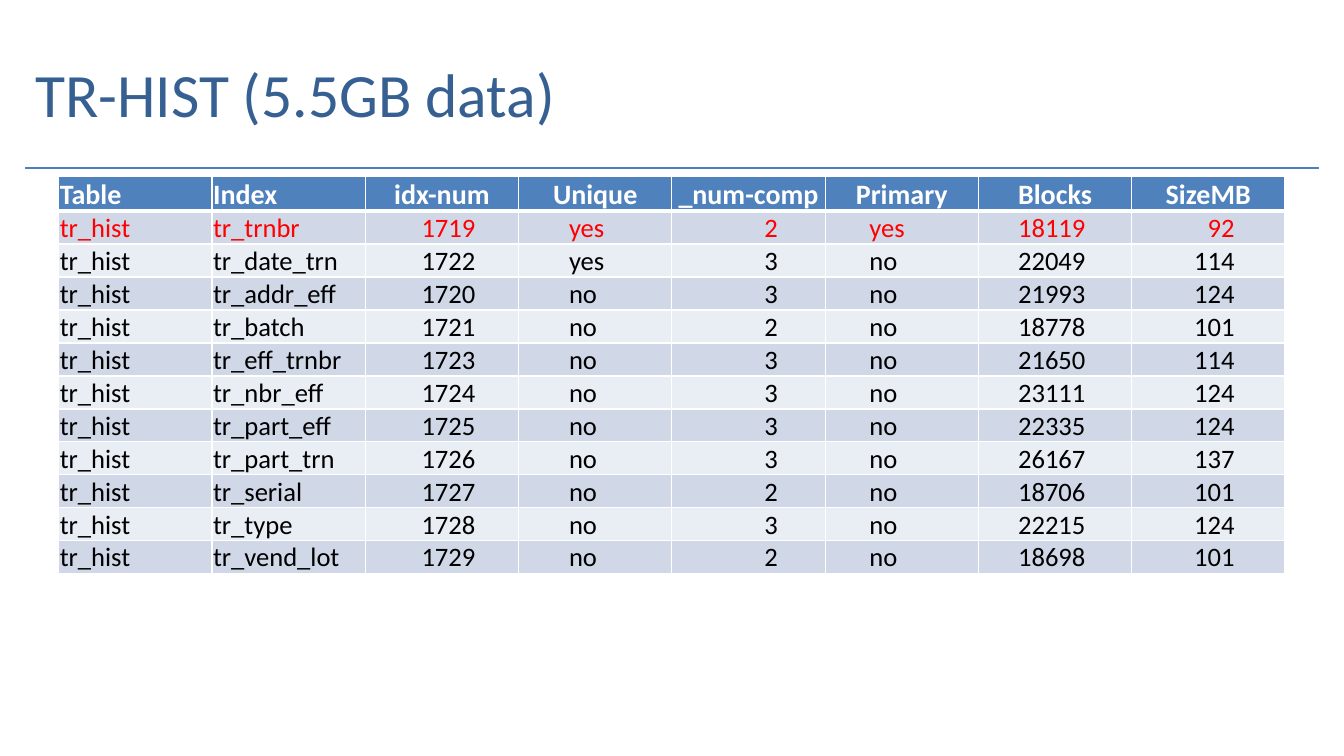
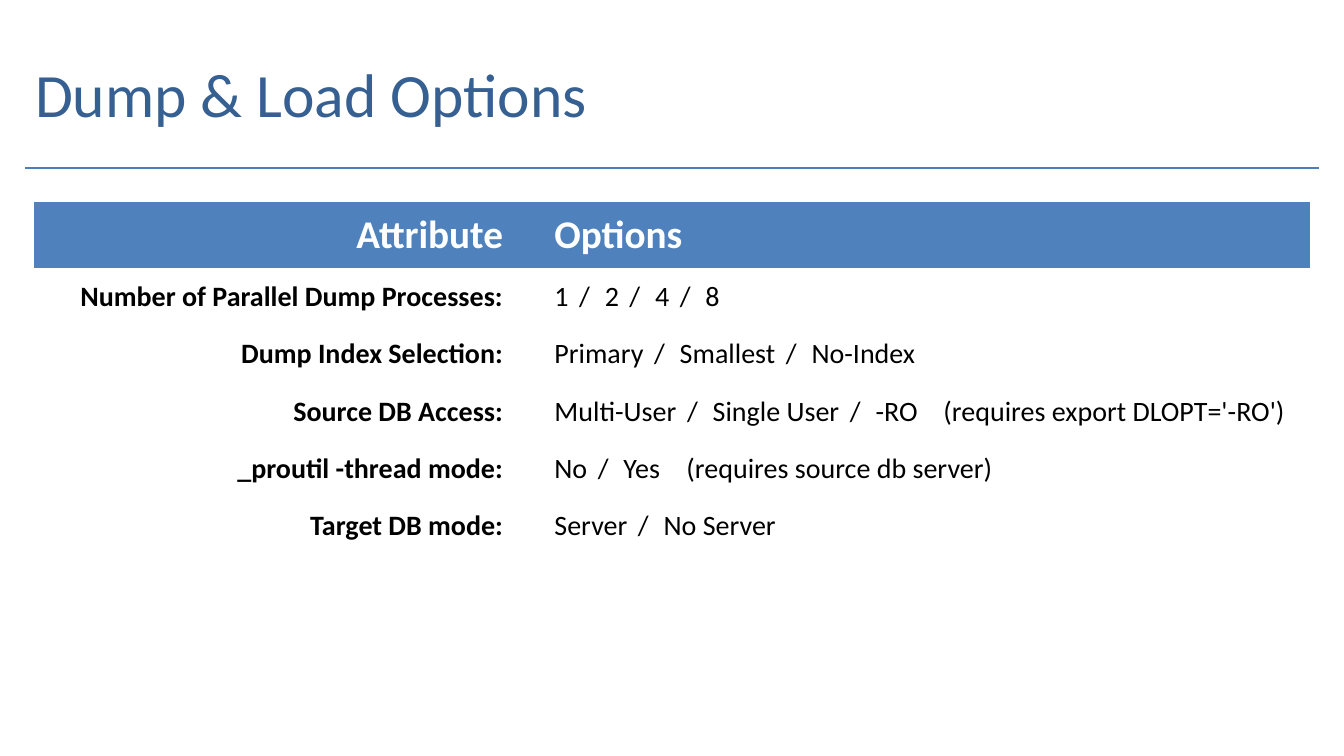
from lxml import etree
from pptx import Presentation
from pptx.dml.color import RGBColor
from pptx.enum.shapes import MSO_CONNECTOR
from pptx.enum.text import MSO_ANCHOR, PP_ALIGN
from pptx.oxml.ns import qn
from pptx.util import Inches, Pt

LEFT, CENTER, RIGHT = PP_ALIGN.LEFT, PP_ALIGN.CENTER, PP_ALIGN.RIGHT
MIDDLE, BOTTOM = MSO_ANCHOR.MIDDLE, MSO_ANCHOR.BOTTOM
STRAIGHT = MSO_CONNECTOR.STRAIGHT
PLAIN_TABLE_STYLE = "{2D5ABB26-0587-4C30-8999-92F81FD0307C}"
COLUMNS, ROWS = 160, 90


def color(hex_value):
    return RGBColor.from_string(hex_value)


class Deck:
    FONT = "Calibri"
    TITLE, RULE, HEADER = "376092", "4B7EBC", "4F81BD"
    BANDS = ("D0D8E8", "E9EDF4")
    WHITE, BLACK, ACCENT = "FFFFFF", "000000", "FF0000"

    def __init__(self):
        self.deck = Presentation()
        self.deck.slide_width = Inches(13.333)
        self.deck.slide_height = Inches(7.5)
        self.slide = None

    def x(self, columns):
        return round(self.deck.slide_width * columns / COLUMNS)

    def y(self, rows):
        return round(self.deck.slide_height * rows / ROWS)

    def box(self, left, top, width, height):
        return self.x(left), self.y(top), self.x(width), self.y(height)

    def style(self, paragraph, size, ink, bold=False, align=LEFT):
        paragraph.alignment = align
        for run in paragraph.runs:
            run.font.name = self.FONT
            run.font.size = Pt(size)
            run.font.bold = bold
            run.font.color.rgb = color(ink)

    def new_slide(self, title):
        self.slide = self.deck.slides.add_slide(self.deck.slide_layouts[6])
        rule = self.slide.shapes.add_connector(
            STRAIGHT, self.x(3), self.y(20), self.x(157), self.y(20))
        rule.line.color.rgb = color(self.RULE)
        rule.line.width = Pt(1.5)
        etree.SubElement(rule._element.spPr, qn("a:effectLst"))
        frame = self.slide.shapes.add_textbox(*self.box(3, 3.6, 141, 15)).text_frame
        frame.word_wrap = True
        frame.vertical_anchor = MIDDLE
        frame.text = title
        self.style(frame.paragraphs[0], 44, self.TITLE)

    def table(self, left, top, widths, header_height, row_height, row_count):
        height = header_height + row_height * row_count
        grid = self.slide.shapes.add_table(
            row_count + 1, len(widths),
            *self.box(left, top, sum(widths), height)).table
        grid.horz_banding = False
        grid._tbl.tblPr.find(qn("a:tableStyleId")).text = PLAIN_TABLE_STYLE
        for column, width in zip(grid.columns, widths):
            column.width = self.x(width)
        for index, row in enumerate(grid.rows):
            row.height = self.y(row_height if index else header_height)
        return grid

    def borders(self, cell, top=1, bottom=1):
        properties = cell._tc.get_or_add_tcPr()
        for side, points in (("L", 1), ("R", 1), ("T", top), ("B", bottom)):
            edge = etree.SubElement(properties, qn(f"a:ln{side}"), w=str(Pt(points)))
            fill = etree.SubElement(edge, qn("a:solidFill"))
            etree.SubElement(fill, qn("a:srgbClr"), val=self.WHITE)

    def cell(self, cell, text, size, ink, bold=False, align=LEFT,
             anchor=MIDDLE, fill=None, indent=(0.01, 0.01)):
        cell.margin_left, cell.margin_right = map(Inches, indent)
        cell.margin_top, cell.margin_bottom = Inches(0.01), 0
        cell.vertical_anchor = anchor
        if fill:
            cell.fill.solid()
            cell.fill.fore_color.rgb = color(fill)
        else:
            cell.fill.background()
        cell.text = text
        self.style(cell.text_frame.paragraphs[0], size, ink, bold, align)

    def choices(self, cell, options, note, note_at):
        self.cell(cell, options[0], 20, self.BLACK, indent=(0.5, 0.01))
        paragraph = cell.text_frame.paragraphs[0]
        for option in options[1:]:
            separator = paragraph.add_run()
            separator.text = " / "
            separator._r.get_or_add_rPr().set("spc", "300")
            paragraph.add_run().text = option
        if note:
            stops = etree.SubElement(paragraph._p.get_or_add_pPr(), qn("a:tabLst"))
            etree.SubElement(stops, qn("a:tab"), pos=str(Inches(note_at)), algn="l")
            paragraph.add_run().text = "\t" + note
        self.style(paragraph, 20, self.BLACK)


INDEX_FIELDS = [
    ("Table", LEFT, LEFT, (0.01, 0.01)),
    ("Index", LEFT, LEFT, (0.01, 0.01)),
    ("idx-num", CENTER, RIGHT, (0.01, 0.43)),
    ("Unique", CENTER, LEFT, (0.5, 0.01)),
    ("_num-comp", CENTER, RIGHT, (0.01, 0.47)),
    ("Primary", CENTER, LEFT, (0.44, 0.01)),
    ("Blocks", CENTER, RIGHT, (0.01, 0.46)),
    ("SizeMB", CENTER, RIGHT, (0.01, 0.5)),
]
INDEXES = [
    ("tr_trnbr", 1719, "yes", 2, "yes", 18119, 92),
    ("tr_date_trn", 1722, "yes", 3, "no", 22049, 114),
    ("tr_addr_eff", 1720, "no", 3, "no", 21993, 124),
    ("tr_batch", 1721, "no", 2, "no", 18778, 101),
    ("tr_eff_trnbr", 1723, "no", 3, "no", 21650, 114),
    ("tr_nbr_eff", 1724, "no", 3, "no", 23111, 124),
    ("tr_part_eff", 1725, "no", 3, "no", 22335, 124),
    ("tr_part_trn", 1726, "no", 3, "no", 26167, 137),
    ("tr_serial", 1727, "no", 2, "no", 18706, 101),
    ("tr_type", 1728, "no", 3, "no", 22215, 124),
    ("tr_vend_lot", 1729, "no", 2, "no", 18698, 101),
]
LOAD_OPTIONS = [
    ("Number of Parallel Dump Processes:", ("1", "2", "4", "8"), "", 0),
    ("Dump Index Selection:", ("Primary", "Smallest", "No-Index"), "", 0),
    ("Source DB Access:", ("Multi-User", "Single User", "-RO"),
     "(requires export DLOPT='-RO')", 3.86),
    ("_proutil -thread mode:", ("No", "Yes"), "(requires source db server)", 1.31),
    ("Target DB mode:", ("Server", "No Server"), "", 0),
]


def index_slide(deck):
    deck.new_slide("TR-HIST (5.5GB data)")
    widths = [146 / len(INDEX_FIELDS)] * len(INDEX_FIELDS)
    grid = deck.table(7, 21, widths, 4.08, 3.93, len(INDEXES))
    for column, (field, header_align, align, indent) in enumerate(INDEX_FIELDS):
        header = grid.cell(0, column)
        deck.borders(header, bottom=3)
        deck.cell(header, field, 20, deck.WHITE, True, header_align, BOTTOM, deck.HEADER)
        for row, index in enumerate(INDEXES):
            value = grid.cell(row + 1, column)
            primary = index[4] == "yes"
            deck.borders(value, top=1 if row else 3)
            deck.cell(value, str(("tr_hist", *index)[column]), 19,
                      deck.ACCENT if primary else deck.BLACK, False, align,
                      BOTTOM, deck.BANDS[row % 2], indent)


def options_slide(deck):
    deck.new_slide("Dump & Load Options")
    grid = deck.table(4, 24, [56, 96], 7.9, 6.82, len(LOAD_OPTIONS))
    deck.cell(grid.cell(0, 0), "Attribute", 28, deck.WHITE, True, RIGHT, fill=deck.HEADER)
    deck.cell(grid.cell(0, 1), "Options", 28, deck.WHITE, True,
              fill=deck.HEADER, indent=(0.5, 0.01))
    for row, (attribute, options, note, note_at) in enumerate(LOAD_OPTIONS, 1):
        deck.cell(grid.cell(row, 0), attribute, 20, deck.BLACK, True, RIGHT)
        deck.choices(grid.cell(row, 1), options, note, note_at)


def main():
    deck = Deck()
    index_slide(deck)
    options_slide(deck)
    deck.deck.save("out.pptx")


if __name__ == "__main__":
    main()
